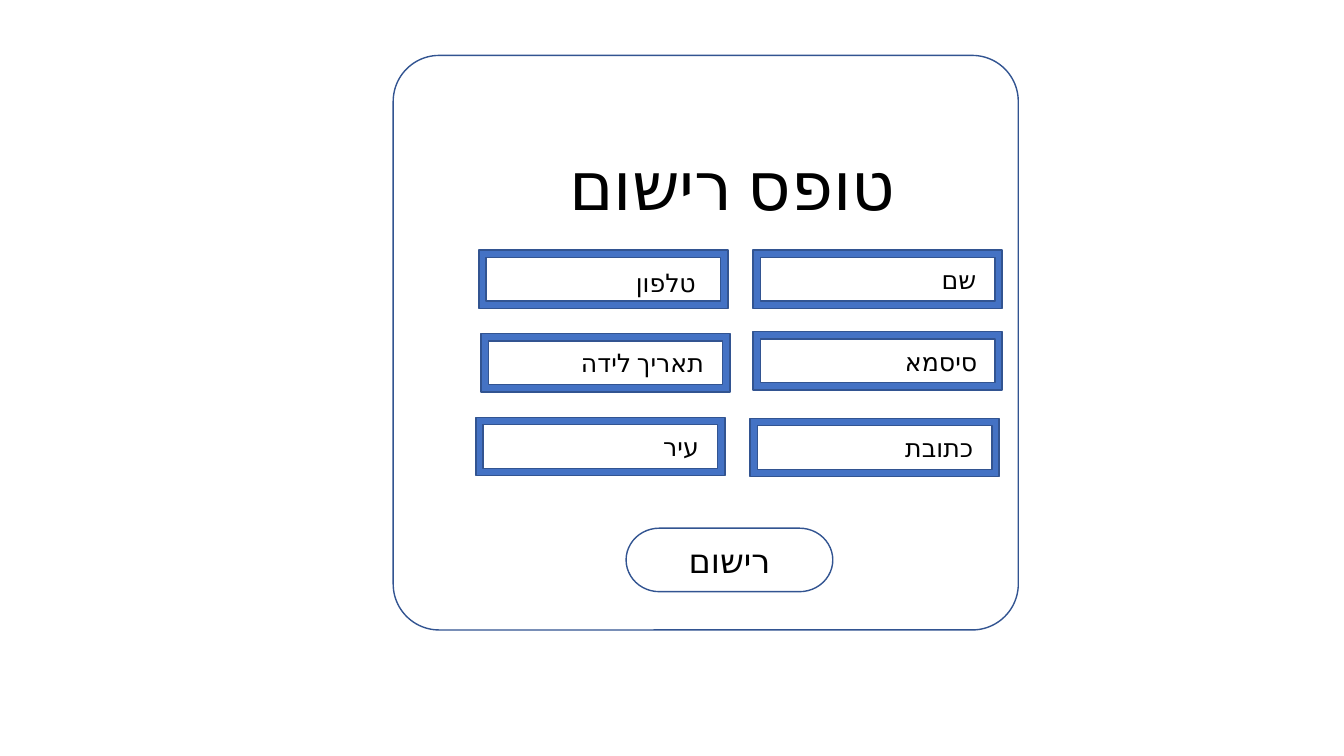
import pptx
import pptx.util
import pptx.dml.color
import pptx.enum.shapes
import pptx.enum.text
import pptx.oxml.ns
import lxml.etree

WHITE = pptx.dml.color.RGBColor(0xFF, 0xFF, 0xFF)
BLACK = pptx.dml.color.RGBColor(0x00, 0x00, 0x00)
BLUE = pptx.dml.color.RGBColor(0x44, 0x72, 0xC4)
NAVY = pptx.dml.color.RGBColor(0x32, 0x54, 0x91)

SHAPE = pptx.enum.shapes.MSO_SHAPE
ALIGN = pptx.enum.text.PP_ALIGN
ANCHOR = pptx.enum.text.MSO_ANCHOR

GRID_STEP = 0.1  # inches per column and per row
FIELD_SIZE = (24.7, 5.8)
LABEL_SIZE = (21.8, 4)

# label, frame column and row, label offset inside the frame
FIELDS = [
    ("שם", (74.7, 24.8), (1.3, 0.9)),
    ("סיסמא", (74.7, 32.9), (1.4, 1)),
    ("כתובת", (74.4, 41.5), (1.3, 0.9)),
    ("טלפון", (47.5, 24.8), (0.7, 1.2)),
    ("תאריך לידה", (47.7, 33.1), (1.3, 0.9)),
    ("עיר", (47.2, 41.4), (1.3, 0.9)),
]


class FormSlide:
    font_name = "Calibri"

    def __init__(self, deck):
        self.page = deck.slides.add_slide(deck.slide_layouts[6])

    def place(self, start, size):
        """Turn grid columns and rows into left, top, width, height."""
        return [pptx.util.Inches(round(cells * GRID_STEP, 2)) for cells in (*start, *size)]

    def outline(self, kind, start, size, fill=WHITE, parent=None):
        shape = (parent or self.page).shapes.add_shape(kind, *self.place(start, size))
        shape.shadow.inherit = False
        shape.fill.solid()
        shape.fill.fore_color.rgb = fill
        shape.line.color.rgb = NAVY
        shape.line.width = pptx.util.Pt(1)
        return shape

    def set_text(self, box, text, size, align=ALIGN.RIGHT, anchor=ANCHOR.TOP, spacing=None):
        """Fill a box with one right-to-left paragraph."""
        frame = box.text_frame
        frame.word_wrap = True
        frame.vertical_anchor = anchor
        para = frame.paragraphs[0]
        for name, value in {"alignment": align, "line_spacing": spacing}.items():
            setattr(para, name, value)
        para._p.get_or_add_pPr().set("rtl", "1")
        span = para.add_run()
        span.text = text
        look = {"name": self.font_name, "size": pptx.util.Pt(size)}
        for name, value in look.items():
            setattr(span.font, name, value)
        span.font.color.rgb = BLACK
        run_format = span._r.get_or_add_rPr()
        run_format.set("lang", "he-IL")
        script_font = lxml.etree.SubElement(run_format, pptx.oxml.ns.qn("a:cs"))
        script_font.set("typeface", self.font_name)

    def text(self, text, start, size, points, parent=None, **layout):
        box = (parent or self.page).shapes.add_textbox(*self.place(start, size))
        self.set_text(box, text, points, **layout)

    def panel(self, start, size):
        shape = self.outline(SHAPE.ROUNDED_RECTANGLE, start, size)
        shape.adjustments[0] = 0.08

    def button(self, label, start, size):
        shape = self.outline(SHAPE.FLOWCHART_TERMINATOR, start, size)
        self.set_text(shape, label, 24, ALIGN.CENTER, ANCHOR.MIDDLE)

    def field(self, label, start, offset):
        group = self.page.shapes.add_group_shape()
        self.outline(SHAPE.FRAME, start, FIELD_SIZE, BLUE, group)
        label_start = [cell + shift for cell, shift in zip(start, offset)]
        self.text(label, label_start, LABEL_SIZE, 18, group)


def main():
    deck = pptx.Presentation()
    deck.slide_width = pptx.util.Inches(13.33)
    deck.slide_height = pptx.util.Inches(7.5)

    form = FormSlide(deck)
    form.panel((39, 5.5), (62, 57))
    form.button("רישום", (62.1, 52.4), (20.5, 6.3))
    for label, start, offset in FIELDS:
        form.field(label, start, offset)
    form.text("טופס רישום", (-25.2, 11.5), (115, 14.5), 48,
              anchor=ANCHOR.MIDDLE, spacing=0.9)

    deck.save("out.pptx")


if __name__ == "__main__":
    main()
